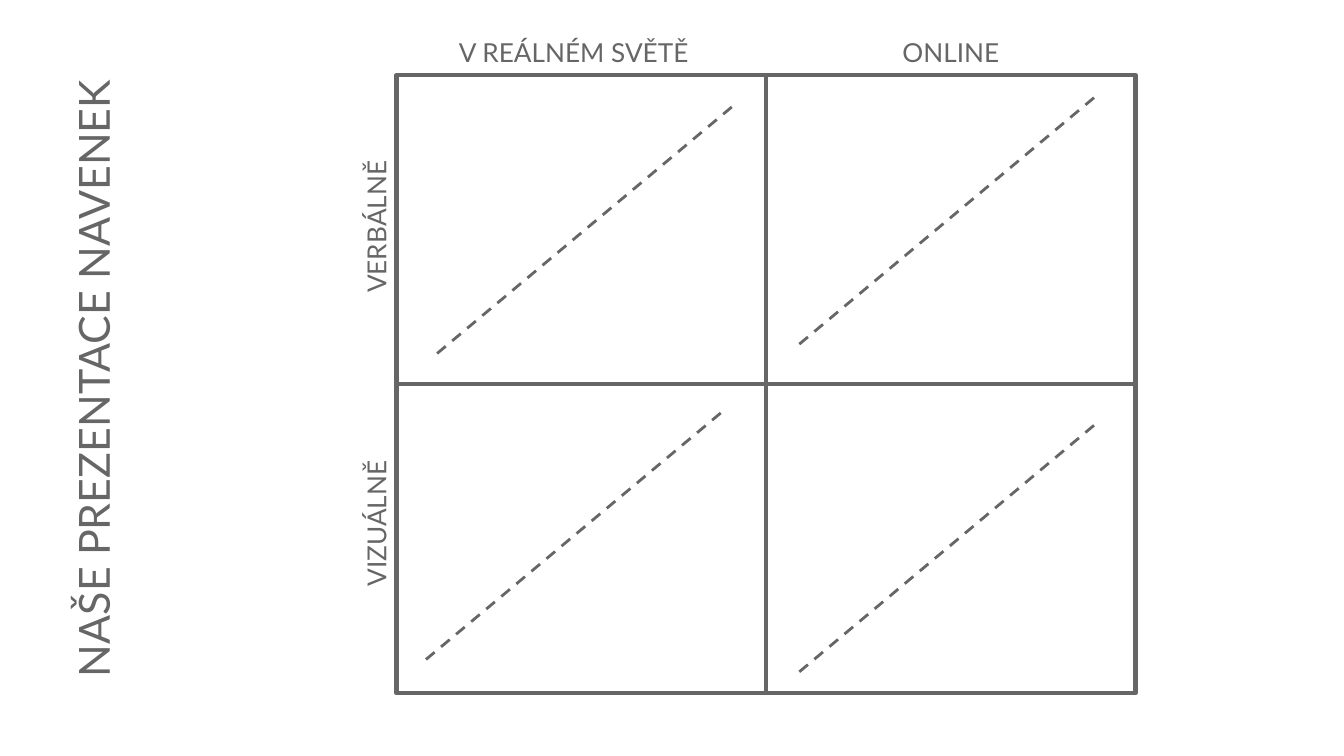
from lxml.etree import SubElement
from pptx import Presentation
from pptx.dml.color import RGBColor
from pptx.enum.dml import MSO_LINE_DASH_STYLE as Dash
from pptx.enum.shapes import MSO_CONNECTOR as Connector, MSO_SHAPE as Shape
from pptx.enum.text import MSO_ANCHOR as Anchor, MSO_AUTO_SIZE as AutoSize, PP_ALIGN as Align
from pptx.oxml.ns import qn
from pptx.util import Inches, Pt

COLORS = {"ink": "666666", "paper": "FFFFFF"}
FONT = "Lato"
WIDTH = 10
HEIGHT = WIDTH * 9 / 16
TITLE_BOX = (-2.11, 2.3, 5.6, 1.03)
MATRIX_BOX = (2.95, 0.56, 5.5, 4.6)
LABEL_SIZE = (2.52, 0.26)
COLUMNS = (("V REÁLNÉM SVĚTĚ", 0.48), ("ONLINE", 0.5))
ROWS = (("VERBÁLNĚ", 0.49), ("VIZUÁLNĚ", 0.45))
DIAGONAL_STARTS = (((0.11, 0.9), (0.09, 0.87)), ((0.08, 0.89), (0.09, 0.93)))
DIAGONAL_SPAN = 0.8


def color(name):
    """Return the named colour."""
    return RGBColor.from_string(COLORS[name])


def write(holder, text, size, anchor):
    """Put one centred line of text in a shape."""
    frame = holder.text_frame
    frame.text = text
    frame.word_wrap = True
    frame.auto_size = AutoSize.NONE
    frame.vertical_anchor = anchor
    frame.margin_left = frame.margin_right = Inches(0.1)
    frame.margin_top = frame.margin_bottom = Inches(0.1)
    paragraph = frame.paragraphs[0]
    paragraph.alignment = Align.CENTER
    font = paragraph.runs[0].font
    font.name, font.size = FONT, Pt(size)
    font.color.rgb = color("ink")


def add_line(slide, start, end, weight):
    """Draw a straight line without a shadow."""
    line = slide.shapes.add_connector(
        Connector.STRAIGHT, *(Inches(value) for value in (*start, *end)))
    line.line.color.rgb = color("ink")
    line.line.width = Pt(weight)
    SubElement(line._element.spPr, qn("a:effectLst"))
    return line


def add_label(slide, center, text, rotation=0):
    """Place an axis label around its centre."""
    width, height = LABEL_SIZE
    label = slide.shapes.add_textbox(
        Inches(center[0] - width / 2), Inches(center[1] - height / 2),
        Inches(width), Inches(height))
    label.rotation = rotation
    write(label, text, 14, Anchor.TOP)


def place_title(slide, box):
    """Turn the title to read upwards in its box."""
    title = slide.shapes.title
    title.left, title.top, title.width, title.height = map(Inches, box)
    title.rotation = 270
    write(title, "NAŠE PREZENTACE NAVENEK", 23, Anchor.MIDDLE)


def add_frame(slide, box):
    """Draw the matrix outline with its two dividers."""
    outline = slide.shapes.add_shape(Shape.RECTANGLE, *map(Inches, box))
    outline.shadow.inherit = False
    outline.fill.background()
    outline.line.color.rgb = color("ink")
    outline.line.width = Pt(2.25)
    for first_side, last_side in ((1, 3), (0, 2)):
        divider = add_line(slide, (0, 0), (1, 1), 2.25)
        divider.begin_connect(outline, first_side)
        divider.end_connect(outline, last_side)


def add_matrix(slide, box):
    """Build the two by two matrix with labels and diagonals."""
    left, top, width, height = box
    cell_width, cell_height = width / len(COLUMNS), height / len(ROWS)
    add_frame(slide, box)
    for column, (text, share) in enumerate(COLUMNS):
        add_label(slide, (left + (column + share) * cell_width, top - 0.26), text)
    for row, (text, share) in enumerate(ROWS):
        add_label(slide, (left - 0.24, top + (row + share) * cell_height), text, 270)
    for row, starts in enumerate(DIAGONAL_STARTS):
        for column, (across, down) in enumerate(starts):
            x = left + (column + across) * cell_width
            y = top + (row + down) * cell_height
            end = (x + DIAGONAL_SPAN * cell_width, y - DIAGONAL_SPAN * cell_height)
            diagonal = add_line(slide, (x, y), end, 1.5)
            diagonal.line.dash_style = Dash.DASH


def main():
    """Create and save the slide."""
    deck = Presentation()
    deck.slide_width, deck.slide_height = Inches(WIDTH), Inches(HEIGHT)
    slide = deck.slides.add_slide(deck.slide_layouts[5])
    slide.background.fill.solid()
    slide.background.fill.fore_color.rgb = color("paper")
    place_title(slide, TITLE_BOX)
    add_matrix(slide, MATRIX_BOX)
    deck.save("out.pptx")


if __name__ == "__main__":
    main()
